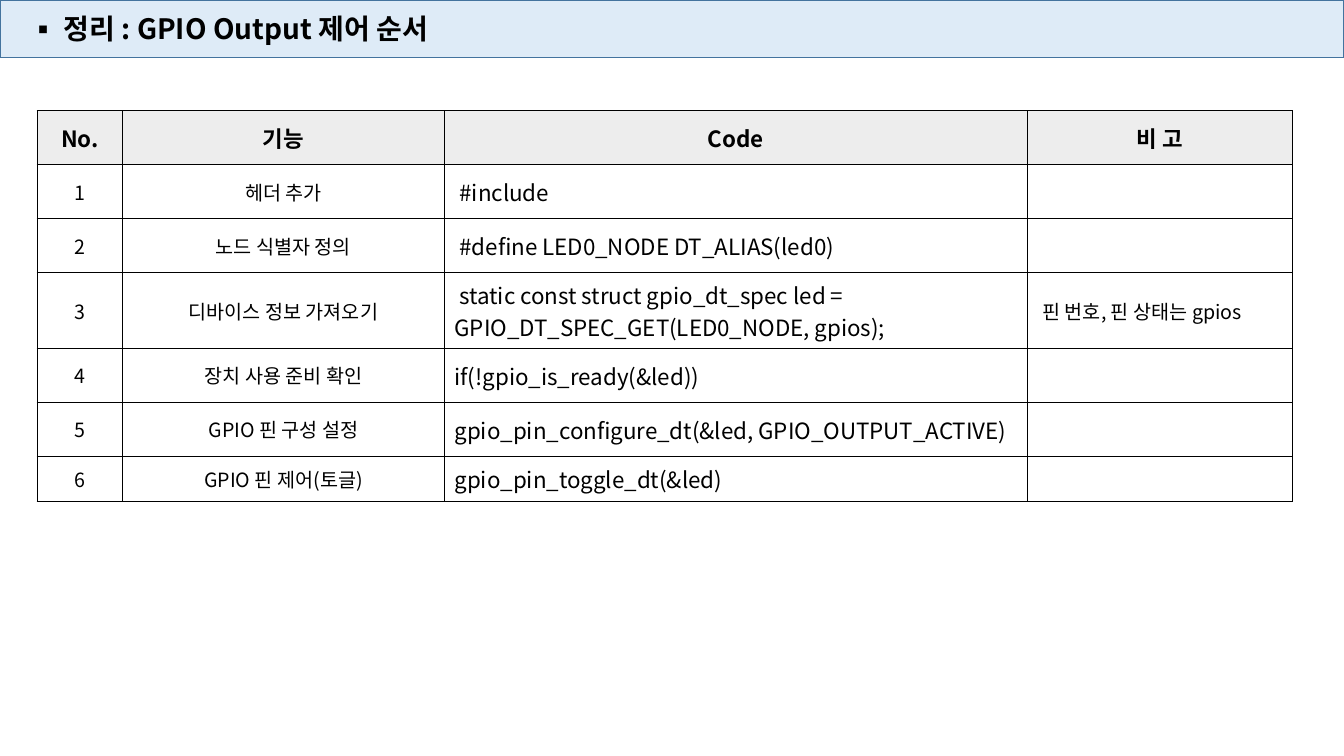
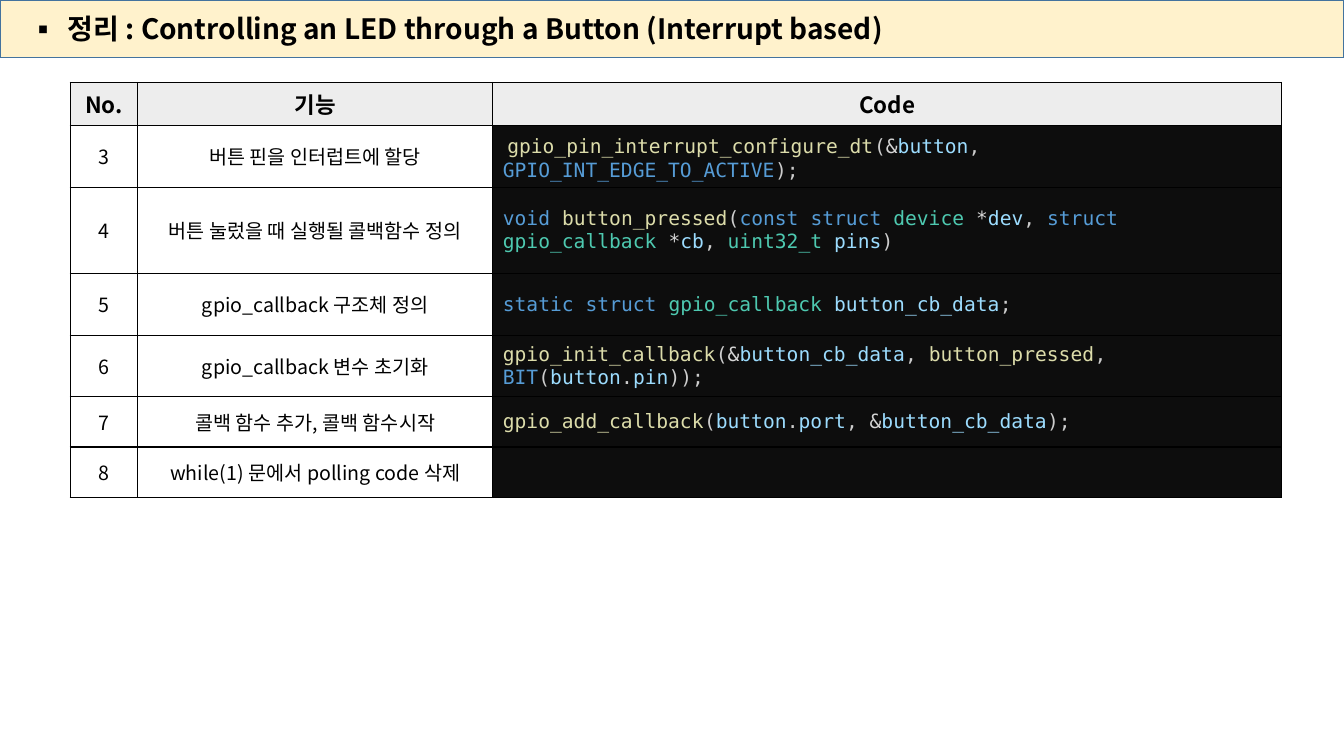
import itertools

import pptx
import pptx.dml.color
import pptx.enum.text
import pptx.oxml
import pptx.oxml.ns
import pptx.util

Cm = pptx.util.Cm
Pt = pptx.util.Pt
ALIGN = pptx.enum.text.PP_ALIGN
MIDDLE = pptx.enum.text.MSO_ANCHOR.MIDDLE

SANS = "Noto Sans CJK KR"
MONO = "DejaVu Sans Mono"
BLACK, GREY, DARK = "000000", "EDEDED", "0D0D0D"
BLUE, CREAM, EDGE = "DEEBF7", "FFF2CC", "43739E"

WORDS = {
    "569CD6": "void const struct static BIT GPIO_INT_EDGE_TO_ACTIVE",
    "4EC9B0": "device gpio_callback uint32_t",
    "DCDCAA": "gpio_pin_interrupt_configure_dt button_pressed"
              " gpio_init_callback gpio_add_callback",
}
TINTS = {word: tint for tint, words in WORDS.items() for word in words.split()}
KINDS = {"name": "9CDCFE", "sign": "D4D4D4", "mark": "CCCCCC"}


def rgb(code):
    return pptx.dml.color.RGBColor.from_string(code)


def kind(char):
    """Tell the token class a character of C code belongs to."""
    if char.isalnum() or char == "_":
        return "name"
    return "sign" if char in "&*" else "mark"


def node(xml):
    """Build one element given with the a: prefix."""
    head, tail = xml.split(" ", 1)
    return pptx.oxml.parse_xml(f"{head} {pptx.oxml.ns.nsdecls('a')} {tail}")


class Deck:
    """Holds the file, the current slide and the shared style."""

    def __init__(self):
        self.file = pptx.Presentation()
        self.file.slide_width = Cm(33.87)
        self.file.slide_height = Cm(19.05)
        self.slide = None

    def page(self, text, fill, left):
        """Add a slide with a bulleted title band; left is the text indent in cm."""
        self.slide = self.file.slides.add_slide(self.file.slide_layouts[5])
        band = self.slide.shapes.title
        band.left, band.top = 0, 0
        band.width, band.height = self.file.slide_width, Cm(1.45)
        band.fill.solid()
        band.fill.fore_color.rgb = rgb(fill)
        band.line.color.rgb = rgb(EDGE)
        band.line.width = Pt(1)
        frame = band.text_frame
        frame.auto_size = pptx.enum.text.MSO_AUTO_SIZE.NONE
        frame.vertical_anchor = MIDDLE
        frame.text = text
        line = frame.paragraphs[0]
        line.alignment = ALIGN.LEFT
        props = line._p.get_or_add_pPr()
        props.set("marL", str(Cm(left)))
        props.set("indent", str(Cm(0.48) - Cm(left)))
        props.append(node(f'<a:buFont typeface="{SANS}"/>'))
        props.append(node('<a:buChar char="▪"/>'))
        self.style(line.runs[0], 20, bold=True)

    def style(self, run, size, tint=BLACK, bold=False, face=SANS):
        font = run.font
        font.size, font.bold, font.name = Pt(size), bold, face
        font.color.rgb = rgb(tint)
        latin = font._element.find(pptx.oxml.ns.qn("a:latin"))
        latin.addnext(node(f'<a:ea typeface="{face}"/>'))

    def grid(self, left, top, cols, rows):
        """Add a bare ruled table from column widths and row heights in cm."""
        frame = self.slide.shapes.add_table(
            len(rows), len(cols), Cm(left), Cm(top), Cm(sum(cols)), Cm(sum(rows)))
        table = frame.table
        table.first_row = table.horz_banding = False
        for col, width in zip(table.columns, cols):
            col.width = Cm(width)
        for row, height in zip(table.rows, rows):
            row.height = Cm(height)
        for cell in table.iter_cells():
            self.frame(cell)
        return table

    def frame(self, cell):
        """Give a cell black borders, no fill and middle anchoring."""
        cell.vertical_anchor = MIDDLE
        props = cell._tc.get_or_add_tcPr()
        for side in "LRTB":
            props.append(node(
                f'<a:ln{side} w="{Pt(1)}"><a:solidFill><a:srgbClr val="{BLACK}"/>'
                f'</a:solidFill></a:ln{side}>'))
        cell.fill.background()

    def paint(self, cell, fill):
        cell.fill.solid()
        cell.fill.fore_color.rgb = rgb(fill)

    def label(self, cell, text, size=14, bold=False, align=ALIGN.CENTER):
        cell.text_frame.text = text
        line = cell.text_frame.paragraphs[0]
        line.alignment = align
        for run in line.runs:
            self.style(run, size, bold=bold)

    def head(self, table, names):
        for cell, name in zip(table.rows[0].cells, names):
            self.paint(cell, GREY)
            self.label(cell, name, 16, bold=True)

    def code(self, cell, text):
        """Set C code on a dark cell, one coloured run per token."""
        self.paint(cell, DARK)
        line = cell.text_frame.paragraphs[0]
        for group, chars in itertools.groupby(text, kind):
            run = line.add_run()
            run.text = "".join(chars)
            face = MONO if line.text.strip() else SANS
            self.style(run, 14, TINTS.get(run.text, KINDS[group]), face=face)


def output(deck):
    deck.page("정리 : GPIO Output 제어 순서", BLUE, 1.35)
    table = deck.grid(0.94, 2.79, [2.15, 8.11, 14.69, 6.68],
                      [1.36, 1.36, 1.36, 1.91, 1.36, 1.36, 1.13])
    deck.head(table, ["No.", "기능", "Code", "비 고"])
    steps = [
        ("헤더 추가", " #include"),
        ("노드 식별자 정의", " #define LED0_NODE DT_ALIAS(led0)"),
        ("디바이스 정보 가져오기", " static const struct gpio_dt_spec led = "
                          "GPIO_DT_SPEC_GET(LED0_NODE, gpios);"),
        ("장치 사용 준비 확인", "if(!gpio_is_ready(&led))"),
        ("GPIO 핀 구성 설정", "gpio_pin_configure_dt(&led, GPIO_OUTPUT_ACTIVE)"),
        ("GPIO 핀 제어(토글)", "gpio_pin_toggle_dt(&led)"),
    ]
    for row, (task, code) in enumerate(steps, 1):
        deck.label(table.cell(row, 0), str(row))
        deck.label(table.cell(row, 1), task)
        deck.label(table.cell(row, 2), code, 16, align=ALIGN.LEFT)
    note = table.cell(3, 3)
    note.margin_left = Cm(0.38)
    deck.label(note, "핀 번호, 핀 상태는 gpios", align=ALIGN.LEFT)


def button(deck):
    deck.page("정리 : Controlling an LED through a Button (Interrupt based)",
              CREAM, 1.45)
    table = deck.grid(1.77, 2.08, [1.7, 8.95, 19.87],
                      [1.08, 1.55, 2.18, 1.55, 1.55, 1.27, 1.27])
    deck.head(table, ["No.", "기능", "Code"])
    steps = [
        ("버튼 핀을 인터럽트에 할당",
         " gpio_pin_interrupt_configure_dt(&button, GPIO_INT_EDGE_TO_ACTIVE);"),
        ("버튼 눌렀을 때 실행될 콜백함수 정의",
         "void button_pressed(const struct device *dev, "
         "struct gpio_callback *cb, uint32_t pins)"),
        ("gpio_callback 구조체 정의", "static struct gpio_callback button_cb_data;"),
        ("gpio_callback 변수 초기화",
         "gpio_init_callback(&button_cb_data, button_pressed, BIT(button.pin));"),
        ("콜백 함수 추가, 콜백 함수시작",
         "gpio_add_callback(button.port, &button_cb_data);"),
        ("while(1) 문에서 polling code 삭제", ""),
    ]
    for row, (task, code) in enumerate(steps, 1):
        deck.label(table.cell(row, 0), str(row + 2))
        deck.label(table.cell(row, 1), task)
        deck.code(table.cell(row, 2), code)


def main():
    deck = Deck()
    output(deck)
    button(deck)
    deck.file.save("out.pptx")


if __name__ == "__main__":
    main()
